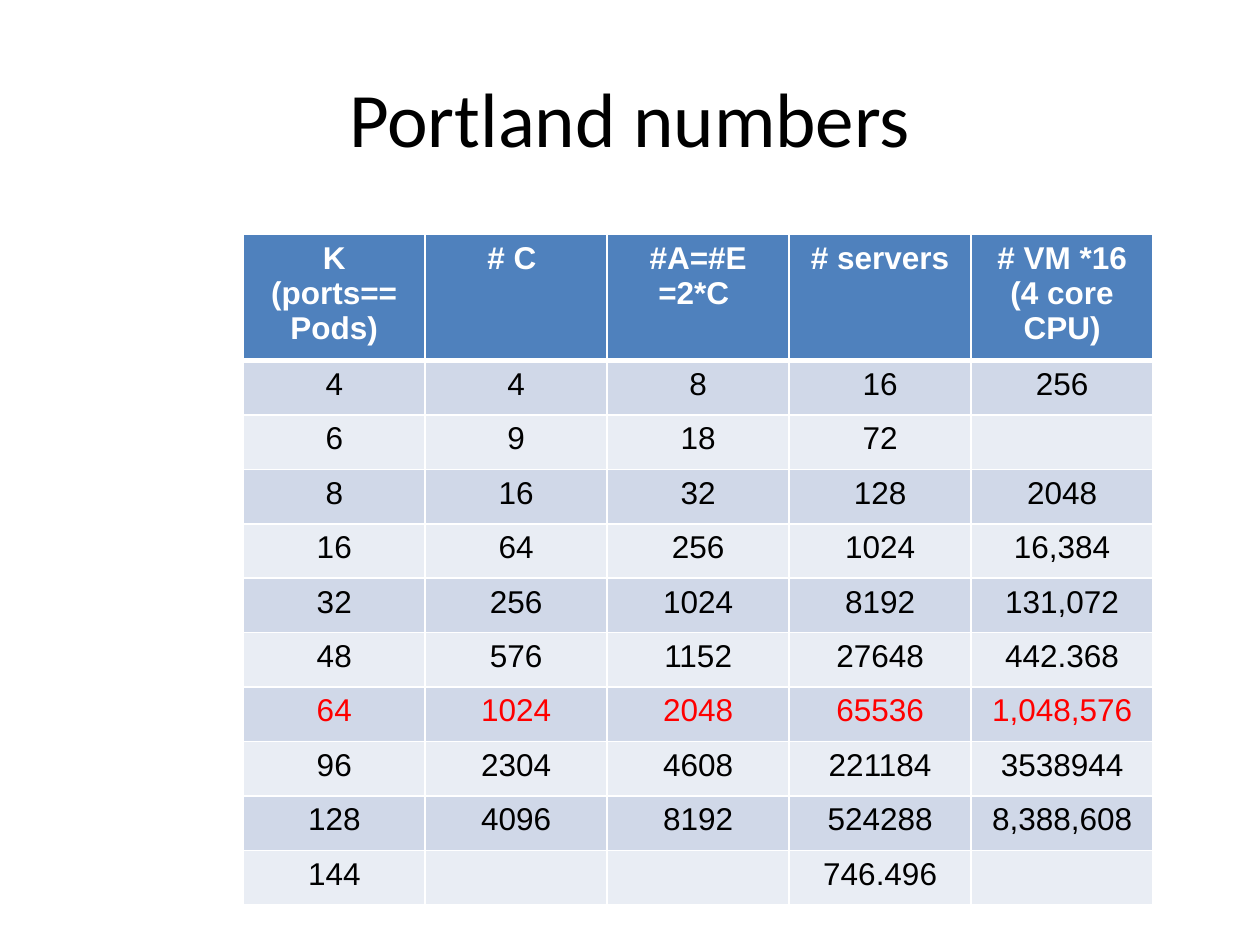
from lxml import etree
from pptx import Presentation
from pptx.dml.color import RGBColor
from pptx.enum.text import MSO_ANCHOR, PP_ALIGN
from pptx.oxml.ns import qn
from pptx.util import Pt

CENTER = PP_ALIGN.CENTER
MIDDLE = MSO_ANCHOR.MIDDLE
WHITE, BLACK, RED = "FFFFFF", "000000", "FF0000"
HEADER_FILL = "4F81BD"
BAND_FILLS = ("D0D8E8", "E9EDF4")
HIGHLIGHT_ROW = 7

ROWS = [
    ("K (ports== Pods)", "# C ", "#A=#E =2*C ", "# servers", "# VM *16 (4 core CPU)"),
    ("4", "4", "8", "16", "256"),
    ("6", "9", "18", "72", ""),
    ("8", "16", "32", "128", "2048"),
    ("16", "64", "256", "1024", "16,384"),
    ("32", "256", "1024", "8192", "131,072"),
    ("48", "576", "1152", "27648", "442.368"),
    ("64", "1024", "2048", "65536", "1,048,576"),
    ("96", "2304", "4608", "221184", "3538944"),
    ("128", "4096", "8192", "524288", "8,388,608"),
    ("144", "", "", "746.496", ""),
]


def color(value):
    return RGBColor.from_string(value)


def write(frame, text, ink, **formats):
    para = frame.paragraphs[0]
    para.alignment = CENTER
    if not text:
        para.font.size = formats["size"]
        return
    span = para.add_run()
    span.text = text
    span.font.color.rgb = color(ink)
    for name, value in formats.items():
        setattr(span.font, name, value)


def set_borders(cell, widths):
    properties = cell._tc.get_or_add_tcPr()
    for position, (side, width) in enumerate(widths.items()):
        line = etree.Element(qn(f"a:{side}"), w=str(Pt(width)))
        fill = etree.SubElement(line, qn("a:solidFill"))
        etree.SubElement(fill, qn("a:srgbClr"), val=WHITE)
        properties.insert(position, line)


def add_title(page, left, top, width, height):
    box = page.shapes.add_textbox(Pt(left), Pt(top), Pt(width), Pt(height))
    frame = box.text_frame
    frame.word_wrap = True
    frame.vertical_anchor = MIDDLE
    write(frame, "Portland numbers", BLACK, size=Pt(44), name="Calibri")


def add_numbers_table(page, left, top, width, height):
    column_count = len(ROWS[0])
    shape = page.shapes.add_table(
        len(ROWS), column_count, Pt(left), Pt(top), Pt(width), Pt(height)
    )
    table = shape.table
    for column in table.columns:
        column.width = Pt(width / column_count)
    for index, values in enumerate(ROWS):
        header = index == 0
        table.rows[index].height = Pt(54 if header else 31.1)
        fill = HEADER_FILL if header else BAND_FILLS[(index - 1) % 2]
        ink = WHITE if header else RED if index == HIGHLIGHT_ROW else BLACK
        widths = {
            "lnL": 1,
            "lnR": 1,
            "lnT": 3 if index == 1 else 1,
            "lnB": 3 if header else 1,
        }
        for cell, text in zip(table.rows[index].cells, values):
            cell.fill.solid()
            cell.fill.fore_color.rgb = color(fill)
            set_borders(cell, widths)
            write(cell.text_frame, text, ink, size=Pt(18), name="Arial", bold=header)
    shape.height = Pt(height)


def main():
    deck = Presentation()
    deck.slide_width, deck.slide_height = Pt(720), Pt(540)
    page = deck.slides.add_slide(deck.slide_layouts[6])
    add_title(page, 36, 21.6, 648, 90)
    add_numbers_table(page, 139, 134, 520, 384)
    deck.save("out.pptx")


if __name__ == "__main__":
    main()
